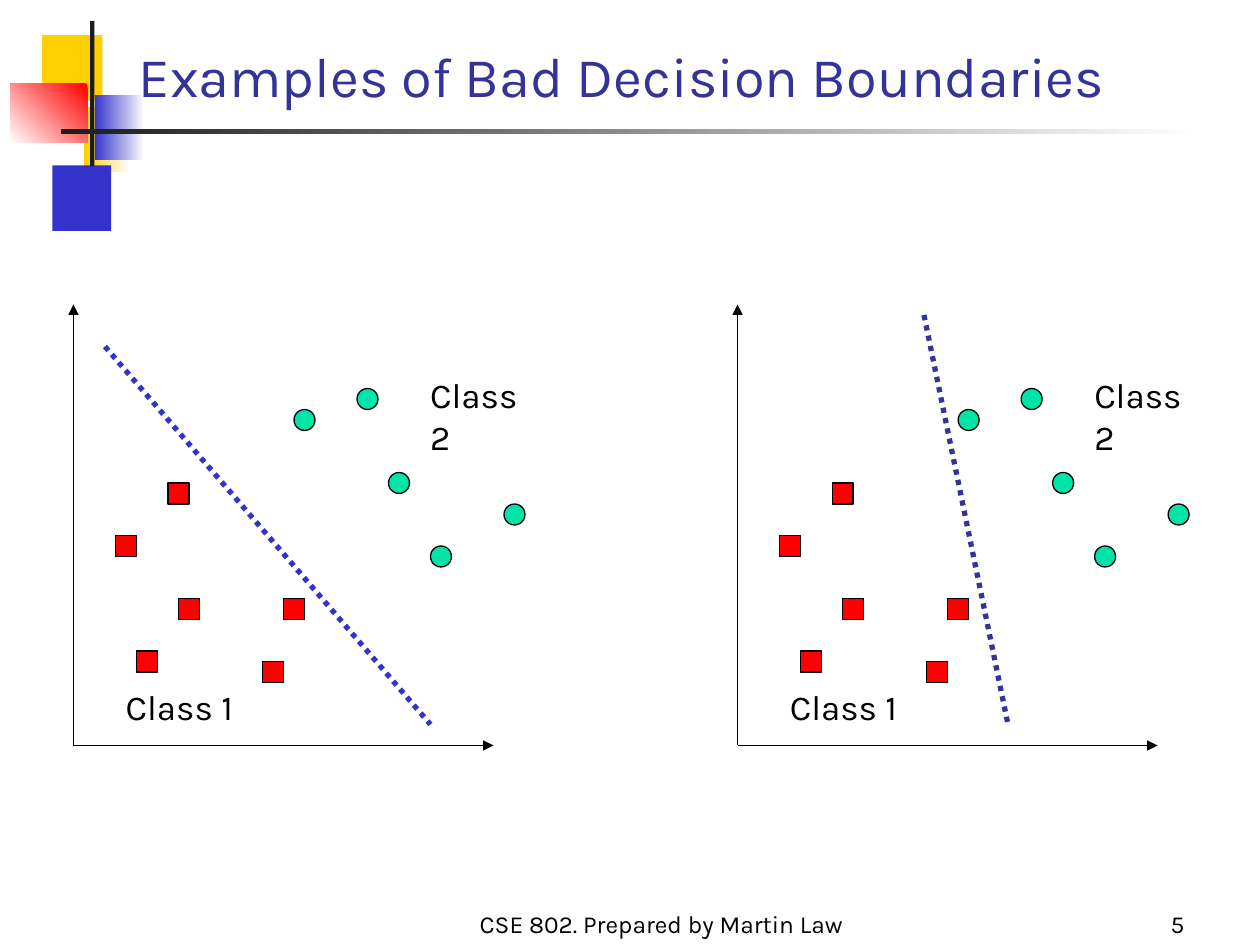
"""Build a slide that shows two poor decision boundaries between two classes."""
from lxml import etree
from pptx import Presentation
from pptx.dml.color import RGBColor
from pptx.enum import dml, shapes, text
from pptx.oxml import ns
from pptx.util import Pt

FONT = "Karla"
COLORS = {
    "black": "000000", "white": "FFFFFF", "ink": "1C1C1C", "yellow": "FFCF01",
    "blue": "3333CC", "navy": "333399", "red": "FF0000", "green": "00E4A8",
}
DECORATION = [
    ((24, 20, 34.5, 37.5), "yellow", None),
    ((48, 61, 26, 37.5), "yellow", 0),
    ((30, 94.5, 33.5, 37.5), "blue", None),
    ((54, 54, 28.5, 37.5), "blue", 0),
    ((6, 48, 44, 33.5), "red", 225),
    ((51.5, 12, 2.5, 83), "ink", None),
    ((35, 74, 648, 2.5), "ink", 0),
]
CIRCLES = [(204, 222), (222, 270), (288, 288), (168, 234), (246, 312)]
SQUARES = [(66, 306), (162, 342), (150, 378), (102, 342), (78, 372), (96, 276)]
MARKER = 12
PLOT_SHIFT = 379.5


def color(name):
    """Return the named colour."""
    return RGBColor.from_string(COLORS[name])


def write(box, words, size=20, fill="black", align=text.PP_ALIGN.LEFT, anchor=text.MSO_ANCHOR.TOP):
    """Put one formatted line of text in a box."""
    frame = box.text_frame
    frame.word_wrap = True
    frame.auto_size = text.MSO_AUTO_SIZE.NONE
    frame.vertical_anchor = anchor
    para = frame.paragraphs[0]
    para.alignment = align
    span = para.add_run()
    span.text = words
    span.font.name = FONT
    span.font.size = Pt(size)
    span.font.color.rgb = color(fill)


def add_text(page, words, place, **format):
    """Add a text box at a place given in points."""
    write(page.shapes.add_textbox(*map(Pt, place)), words, **format)


def add_block(page, kind, place, fill, outline=None, angle=None):
    """Add a shape with a solid fill, or one fading to white along an angle."""
    block = page.shapes.add_shape(kind, *map(Pt, place))
    block.shadow.inherit = False
    if angle is None:
        block.fill.solid()
        block.fill.fore_color.rgb = color(fill)
    else:
        block.fill.gradient()
        block.fill.gradient_angle = angle
        for stop, name in zip(block.fill.gradient_stops, (fill, "white")):
            stop.color.rgb = color(name)
    if outline:
        block.line.color.rgb = color(outline)
        block.line.width = Pt(0.75)
    else:
        block.line.fill.background()


def add_line(page, start, end, stroke="black", width=1, dash=None, arrow=False):
    """Add a straight line, optionally dashed or ending in an arrowhead."""
    line = page.shapes.add_connector(shapes.MSO_CONNECTOR.STRAIGHT, *map(Pt, start + end))
    line.line.color.rgb = color(stroke)
    line.line.width = Pt(width)
    if dash:
        line.line.dash_style = dash
    properties = line.element.spPr
    if arrow:
        etree.SubElement(properties.find(ns.qn("a:ln")), ns.qn("a:tailEnd"), type="triangle")
    etree.SubElement(properties, ns.qn("a:effectLst"))


def add_plot(page, shift, start, end, stroke):
    """Add the axes, samples, labels and boundary of one plot."""
    origin = (42 + shift, 426)
    for tip in ((42 + shift, 174), (282 + shift, 426)):
        add_line(page, origin, tip, arrow=True)
    for kind, points, fill in (
        (shapes.MSO_SHAPE.OVAL, CIRCLES, "green"),
        (shapes.MSO_SHAPE.RECTANGLE, SQUARES, "red"),
    ):
        for left, top in points:
            add_block(page, kind, (left + shift, top, MARKER, MARKER), fill, outline="black")
    for words, left, top in (("Class 1", 64.75, 388), ("Class 2", 238.75, 210)):
        add_text(page, words, (left + shift, top, 78, 32))
    add_line(page, start, end, stroke, width=3, dash=dml.MSO_LINE.ROUND_DOT)


def add_title(page, words):
    """Fill the title placeholder and bring it to the front."""
    title = page.shapes.title
    title.left, title.top, title.width, title.height = map(Pt, (72, 6, 632, 60))
    write(title, words, size=32, fill="navy", anchor=text.MSO_ANCHOR.BOTTOM)
    title.element.getparent().append(title.element)


def main():
    """Build and save the deck."""
    deck = Presentation()
    deck.slide_width, deck.slide_height = Pt(720), Pt(540)
    page = deck.slides.add_slide(deck.slide_layouts[5])
    for place, fill, angle in DECORATION:
        add_block(page, shapes.MSO_SHAPE.RECTANGLE, place, fill, angle=angle)
    add_title(page, "Examples of Bad Decision Boundaries")
    add_plot(page, 0, (60, 198), (246, 414), "blue")
    add_plot(page, PLOT_SHIFT, (528, 180), (576, 414), "navy")
    for words, place, align in (
        ("CSE 802. Prepared by Martin Law", (264, 516, 228, 24), text.PP_ALIGN.CENTER),
        ("5", (534, 516, 150, 24), text.PP_ALIGN.RIGHT),
    ):
        add_text(page, words, place, size=14, align=align, anchor=text.MSO_ANCHOR.BOTTOM)
    deck.save("out.pptx")


if __name__ == "__main__":
    main()
